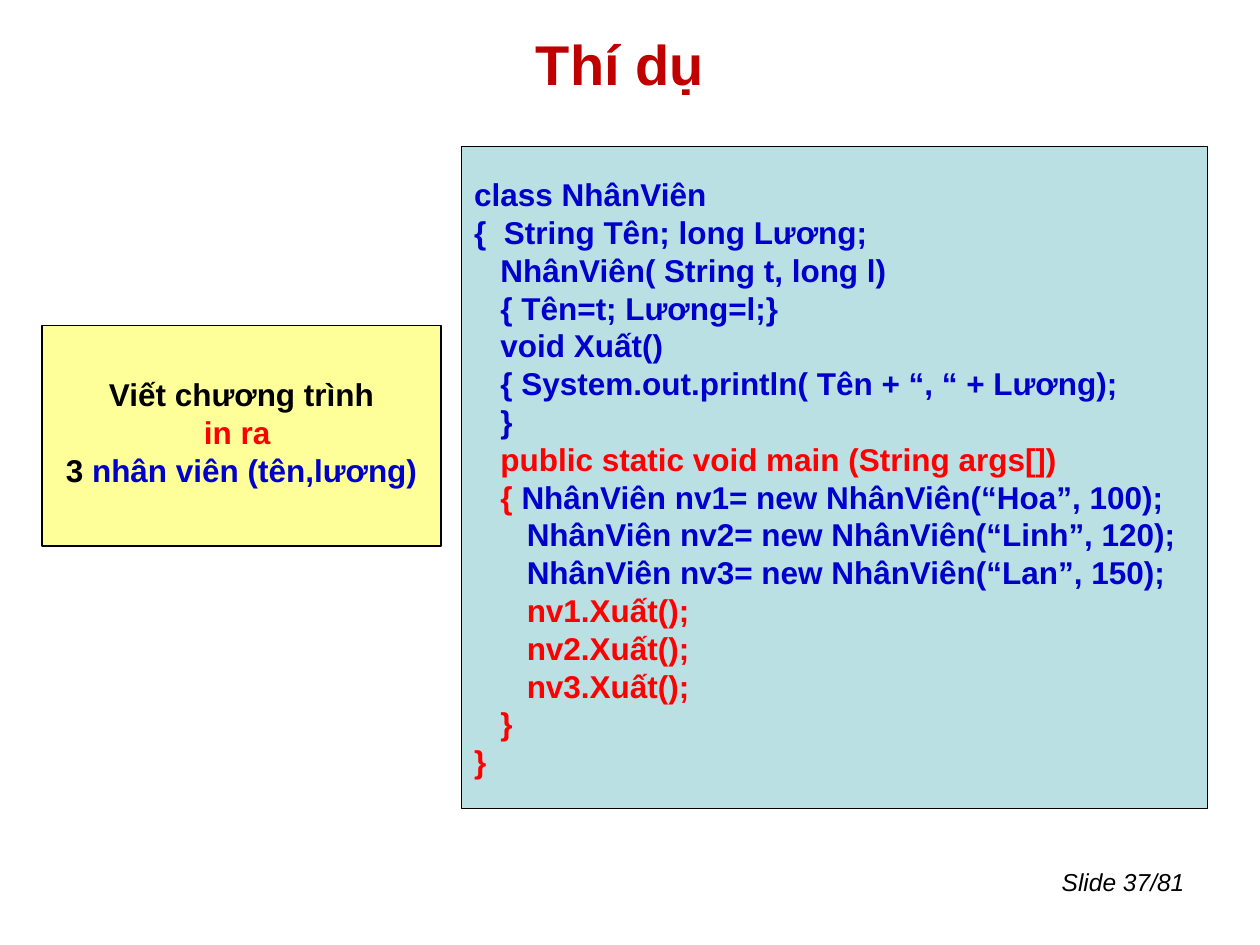
"""Build the class example slide: a task note beside its code listing."""
from pptx import Presentation
from pptx import util as u
from pptx.dml.color import RGBColor
from pptx.enum import shapes, text

BLACK = RGBColor(0x00, 0x00, 0x00)
CRIMSON = RGBColor(0xC0, 0x00, 0x00)
RED = RGBColor(0xFF, 0x00, 0x00)
BLUE = RGBColor(0x00, 0x00, 0xCC)
YELLOW = RGBColor(0xFF, 0xFF, 0x99)
PALE_BLUE = RGBColor(0xBB, 0xE0, 0xE3)
LEFT, CENTER, RIGHT = text.PP_ALIGN.LEFT, text.PP_ALIGN.CENTER, text.PP_ALIGN.RIGHT
INDENT = u.Cm(0.53)

TASK = [
    (0, [("Viết chương trình", BLACK)]),
    (0, [("in ra ", RED)]),
    (0, [("3 ", BLACK), ("nhân viên (tên,lương)", BLUE)]),
]
CODE = [
    (0, [("class NhânViên", BLUE)]),
    (0, [("{  String Tên; long Lương;", BLUE)]),
    (1, [("NhânViên( String t, long l)", BLUE)]),
    (1, [("{ Tên=t; Lương=l;}", BLUE)]),
    (1, [("void Xuất()", BLUE)]),
    (1, [("{ System.out.println( Tên + “, “ + Lương);", BLUE)]),
    (1, [("}", BLUE)]),
    (1, [("public static void main (String args[])", RED)]),
    (1, [("{ ", RED), ("NhânViên nv1= new NhânViên(“Hoa”, 100);", BLUE)]),
    (2, [("NhânViên nv2= new NhânViên(“Linh”, 120);", BLUE)]),
    (2, [("NhânViên nv3= new NhânViên(“Lan”, 150);", BLUE)]),
    *[(2, [(f"nv{n}.Xuất();", RED)]) for n in (1, 2, 3)],
    (1, [("}", RED)]),
    (0, [("}", RED)]),
]


def apply(target, values):
    for name, value in values.items():
        setattr(target, name, value)


def write(sp, lines, font, para, anchor=text.MSO_ANCHOR.MIDDLE):
    tf = sp.text_frame
    apply(tf, {"word_wrap": True, "vertical_anchor": anchor})
    for i, (level, runs) in enumerate(lines):
        p = tf.add_paragraph() if i else tf.paragraphs[0]
        apply(p, para)
        if level:
            p._p.get_or_add_pPr().set("marL", str(level * INDENT))
        for words, color in runs:
            r = p.add_run()
            r.text = words
            apply(r.font, {"name": "Arial", **font})
            r.font.color.rgb = color


def add_label(s, box, words, color, font, para, anchor):
    sp = s.shapes.add_textbox(*map(u.Cm, box))
    write(sp, [(0, [(words, color)])], font, para, anchor)


def add_panel(s, box, fill, lines, para):
    sp = s.shapes.add_shape(shapes.MSO_SHAPE.RECTANGLE, *map(u.Cm, box))
    sp.shadow.inherit = False
    sp.fill.solid()
    sp.fill.fore_color.rgb = fill
    sp.line.color.rgb = BLACK
    sp.line.width = u.Pt(0.75)
    write(sp, lines, {"size": u.Pt(18), "bold": True}, para)


def main():
    prs = Presentation()
    apply(prs, {"slide_width": u.Cm(25.4), "slide_height": u.Cm(19.05)})
    s = prs.slides.add_slide(prs.slide_layouts[6])
    add_label(s, (20.12, 17.35, 4.01, 1.32), "Slide 37/81", BLACK,
              {"size": u.Pt(14), "italic": True}, {"alignment": RIGHT},
              text.MSO_ANCHOR.TOP)
    add_label(s, (1.07, 0.64, 22.86, 1.27), "Thí dụ", CRIMSON,
              {"size": u.Pt(32), "bold": True}, {"alignment": CENTER},
              text.MSO_ANCHOR.MIDDLE)
    add_panel(s, (0.85, 6.56, 8.04, 4.45), YELLOW, TASK,
              {"alignment": CENTER, "line_spacing": 0.8, "space_before": u.Pt(4.5)})
    add_panel(s, (9.31, 2.96, 15.03, 13.34), PALE_BLUE, CODE, {"alignment": LEFT})
    prs.save("out.pptx")


main()
